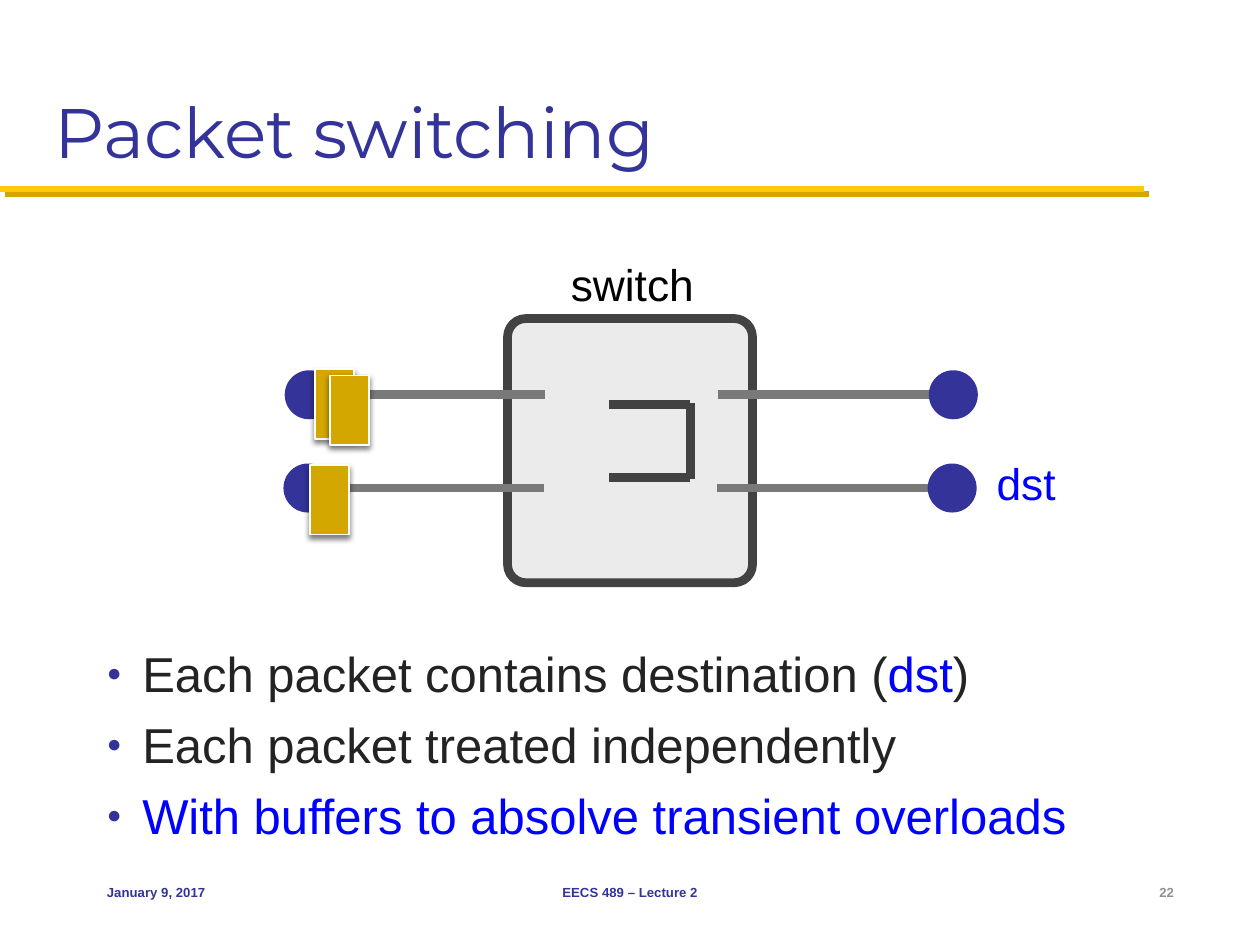
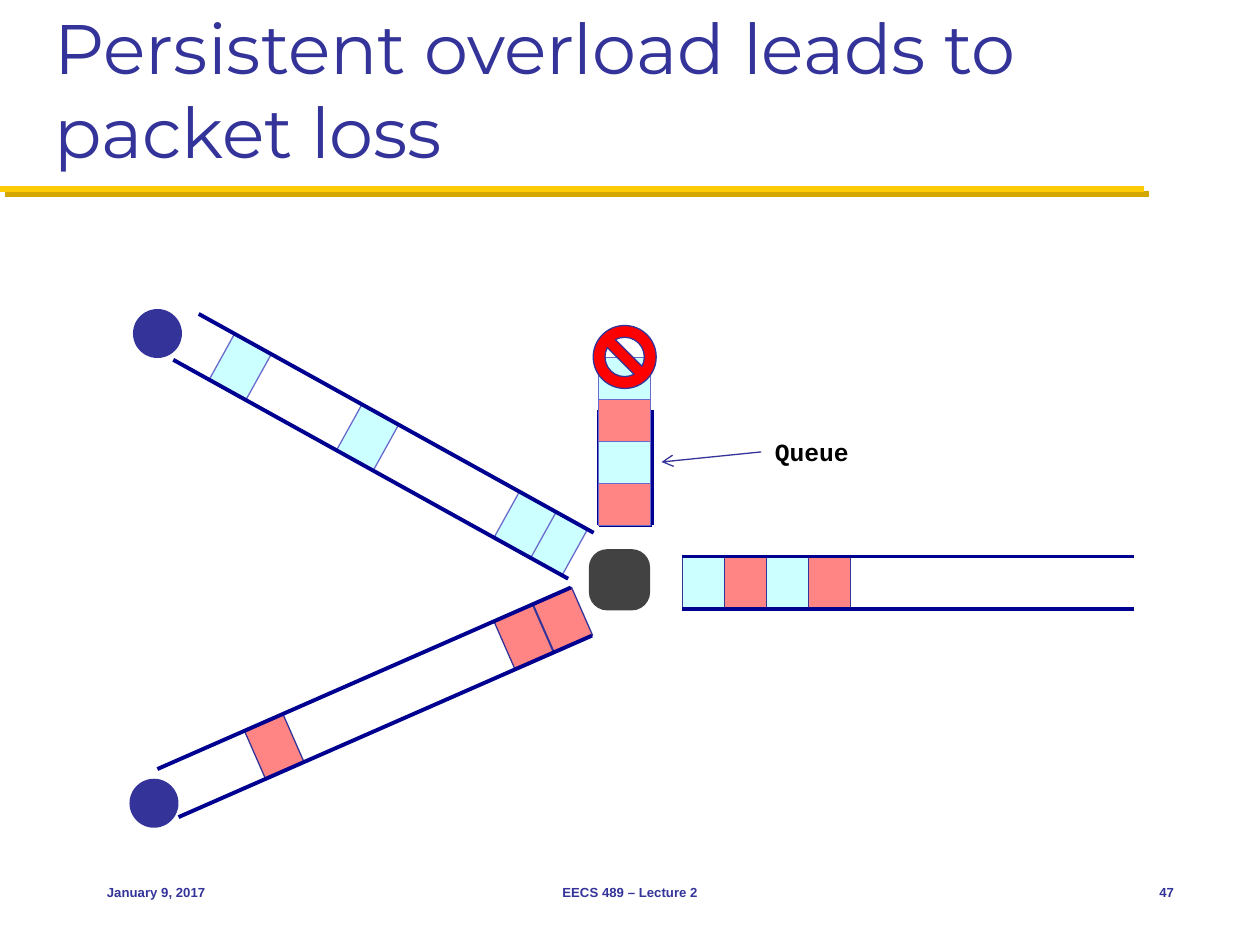
"""Build two lecture slides on packet switching and packet loss."""
from dataclasses import dataclass
from itertools import cycle
from math import cos, radians, sin

from lxml import etree
from pptx import Presentation
from pptx.dml.color import RGBColor
from pptx.enum.shapes import MSO_CONNECTOR, MSO_SHAPE
from pptx.enum.text import MSO_ANCHOR, PP_ALIGN
from pptx.oxml.ns import qn
from pptx.util import Pt

LEFT, CENTER, RIGHT = PP_ALIGN.LEFT, PP_ALIGN.CENTER, PP_ALIGN.RIGHT
TOP, MIDDLE, BOTTOM = MSO_ANCHOR.TOP, MSO_ANCHOR.MIDDLE, MSO_ANCHOR.BOTTOM
RECT, ROUND, OVAL = MSO_SHAPE.RECTANGLE, MSO_SHAPE.ROUNDED_RECTANGLE, MSO_SHAPE.OVAL
NO_SIGN = MSO_SHAPE.NO_SYMBOL
STRAIGHT = MSO_CONNECTOR.STRAIGHT


@dataclass(frozen=True)
class Theme:
    indigo: str = "333399"
    lilac: str = "6A6ACD"
    navy: str = "000090"
    blue: str = "0000FF"
    maize: str = "FFCB05"
    gold: str = "D3A600"
    ink: str = "232323"
    black: str = "000000"
    dark: str = "424242"
    wire: str = "797979"
    muted: str = "919191"
    pale: str = "EBEBEB"
    white: str = "FFFFFF"
    cyan: str = "CCFFFF"
    pink: str = "FF8585"
    red: str = "FF0000"
    head_font: str = "Montserrat"
    body_font: str = "Arial"
    code_font: str = "Courier New"
    title: float = 40
    body: float = 28
    label: float = 25.3
    queue: float = 14.1
    footer: float = 7.5
    thick: float = 5
    edge: float = 2.25
    thin: float = 0.75


T = Theme()
DATE, COURSE = "January 9, 2017", "EECS 489 – Lecture 2"

SWITCHING = {"title": "Packet switching", "number": "22", "number_color": T.muted}
BULLETS = [
    [("Each packet contains destination (", T.ink), ("dst", T.blue), (")", T.ink)],
    [("Each packet treated independently", T.ink)],
    [("With buffers to absolve transient overloads", T.blue)],
]
SWITCH_BOX = (290, 182, 140, 151)
LABELS = [("switch", (323.3, 144, 76.3, 36), T.black), ("dst", (566.6, 257.8, 39.6, 36), T.blue)]
ROWS = [(0, 225.6), (-0.7, 278.9)]
WIRES = [(180, 311.6, 176.7), (410.4, 541.8, 544.8)]
BUFFER = [((394.5, 273.6), (394.5, 230.4)), ((348, 231), (394.5, 231)), ((348, 273), (394.5, 273))]
PACKETS = [(180, 211), (188.6, 214.6), (177.1, 265.7)]

OVERLOAD = {"title": "Persistent overload leads to packet loss", "number": "47", "number_color": T.indigo}
CELL = (24, 30)
CHANNEL_LENGTH = 258
CHANNELS = [
    {"start": (390, 333), "angle": 0, "cells": (12, 36, 60, 84), "fills": (T.cyan, T.pink), "line": T.indigo},
    {"start": (96, 453.2), "angle": -23.7, "cells": (66.3, 246.4, 222), "fills": (T.pink,), "line": T.indigo},
    {"start": (106.3, 192.5), "angle": 29, "cells": (242, 221.5, 118.6, 35.4), "fills": (T.cyan,), "line": T.lilac},
]
HOSTS = [(90, 190.6), (88, 459)]
QUEUE_WALLS = [((342, 234), (342, 300)), ((372.4, 234), (372.4, 300)), ((342, 300), (372.4, 300))]
QUEUED = [T.pink, T.cyan, T.pink, T.cyan]


def rgb(color):
    return RGBColor.from_string(color)


def add_text(s, text, box, *, size, color, font=T.body_font, bold=False, align=LEFT,
             anchor=TOP, inset=(7.2, 3.6), wrap=True, bullet=False):
    sp = s.shapes.add_textbox(*map(Pt, box))
    tf = sp.text_frame
    tf.word_wrap, tf.vertical_anchor = wrap, anchor
    tf.margin_left = tf.margin_right = Pt(inset[0])
    tf.margin_top = tf.margin_bottom = Pt(inset[1])
    paragraphs = [[(text, color)]] if isinstance(text, str) else text
    for i, runs in enumerate(paragraphs):
        p = tf.paragraphs[0] if i == 0 else tf.add_paragraph()
        p.alignment = align
        if i:
            p.space_before = Pt(7)
        if bullet:
            add_bullet(p)
        for words, shade in runs:
            r = p.add_run()
            r.text = words
            r.font.size, r.font.name, r.font.bold = Pt(size), font, bold
            r.font.color.rgb = rgb(shade)
    return sp


def add_bullet(p):
    pPr = p._p.get_or_add_pPr()
    pPr.set("marL", str(Pt(20.25)))
    pPr.set("indent", str(-Pt(20.25)))
    color = etree.SubElement(pPr, qn("a:buClr"))
    etree.SubElement(color, qn("a:srgbClr"), val=T.indigo)
    etree.SubElement(pPr, qn("a:buSzPct"), val="50000")
    etree.SubElement(pPr, qn("a:buFont"), typeface=T.body_font)
    etree.SubElement(pPr, qn("a:buChar"), char="●")


def add_box(s, kind, box, fill, line=None, width=T.thin, rotation=0, adj=None):
    sp = s.shapes.add_shape(kind, *map(Pt, box))
    sp.shadow.inherit = False
    sp.fill.solid()
    sp.fill.fore_color.rgb = rgb(fill)
    sp.rotation = rotation
    if adj is not None:
        sp.adjustments[0] = adj
    if line:
        sp.line.color.rgb = rgb(line)
        sp.line.width = Pt(width)
    else:
        sp.line.fill.background()
    return sp


def add_line(s, start, end, color, width, arrow=False):
    sp = s.shapes.add_connector(STRAIGHT, *map(Pt, (*start, *end)))
    sp.line.color.rgb = rgb(color)
    sp.line.width = Pt(width)
    if arrow:
        etree.SubElement(sp.line._get_or_add_ln(), qn("a:tailEnd"), type="arrow")
    etree.SubElement(sp._element.spPr, qn("a:effectLst"))
    return sp


def add_node(s, x, y, size=28):
    add_box(s, OVAL, (x - size / 2, y - size / 2, size, size), T.indigo)


def add_packet(s, x, y):
    sp = add_box(s, RECT, (x, y, 22.4, 39.8), T.gold, T.white, 1)
    effects = sp._element.spPr.find(qn("a:effectLst"))
    shadow = etree.SubElement(effects, qn("a:outerShdw"), blurRad=str(Pt(3)), dist=str(Pt(2)),
                              dir="5400000", rotWithShape="0")
    color = etree.SubElement(shadow, qn("a:srgbClr"), val=T.black)
    etree.SubElement(color, qn("a:alpha"), val="50000")


def add_channel(s, start, angle, cells, fills, line):
    x, y = start
    dx, dy = cos(radians(angle)), sin(radians(angle))
    w, h = CELL
    for d, fill in zip(cells, cycle(fills)):
        box = (x + d * dx - w / 2, y + d * dy - h / 2, w, h)
        add_box(s, RECT, box, fill, line, rotation=angle)
    for side in (-h / 2, h / 2):
        x1, y1 = x - side * dy, y + side * dx
        add_line(s, (x1, y1), (x1 + CHANNEL_LENGTH * dx, y1 + CHANNEL_LENGTH * dy), T.navy, T.edge)


def add_slide(prs, title, number, number_color):
    s = prs.slides.add_slide(prs.slide_layouts[6])
    for shift, color in ((3, T.gold), (0, T.maize)):
        add_line(s, (shift, 108 + shift), (653.8 + shift, 108 + shift), color, 3.5)
    add_text(s, title, (24, 12, 672, 90), size=T.title, color=T.indigo, font=T.head_font, anchor=BOTTOM)
    for text, x, w, align, color in (
        (DATE, 54, 150, LEFT, T.indigo),
        (COURSE, 246, 228, CENTER, T.indigo),
        (number, 630, 48, RIGHT, number_color),
    ):
        add_text(s, text, (x, 492, w, 36), size=T.footer, color=color, bold=True, align=align, anchor=MIDDLE)
    return s


def build_switching(prs):
    s = add_slide(prs, **SWITCHING)
    add_text(s, BULLETS, (54, 364, 624, 118), size=T.body, color=T.ink, bullet=True)
    add_box(s, ROUND, SWITCH_BOX, T.pale, T.dark, T.thick, adj=0.075)
    for shift, y in ROWS:
        for x1, x2, node in WIRES:
            add_line(s, (x1 + shift, y), (x2 + shift, y), T.wire, T.thick)
            add_node(s, node + shift, y)
    for x, y in PACKETS:
        add_packet(s, x, y)
    for text, box, color in LABELS:
        add_text(s, text, box, size=T.label, color=color, anchor=MIDDLE, inset=(2.9, 2.9), wrap=False)
    for start, end in BUFFER:
        add_line(s, start, end, T.dark, T.thick)


def build_overload(prs):
    s = add_slide(prs, **OVERLOAD)
    for start, end in QUEUE_WALLS:
        add_line(s, start, end, T.navy, T.edge)
    label = add_text(s, "Queue", (435, 246, 57, 24.5), size=T.queue, color=T.black, font=T.code_font,
                     bold=True, align=RIGHT, wrap=False)
    arrow = add_line(s, (435, 258.25), (378, 264), T.indigo, T.thin, arrow=True)
    arrow.begin_connect(label, 1)
    add_box(s, ROUND, (336.5, 313.8, 35, 35), T.dark, adj=0.3)
    for x, y in HOSTS:
        add_node(s, x, y)
    for channel in CHANNELS:
        add_channel(s, **channel)
    w, h = CELL
    for i, fill in enumerate(QUEUED):
        add_box(s, RECT, (342, 300 - w * (i + 1), h, w), fill, T.lilac, 0.5)
    add_box(s, NO_SIGN, (339, 186, 36, 36), T.red, T.indigo)


def main():
    prs = Presentation()
    prs.slide_width, prs.slide_height = Pt(720), Pt(540)
    build_switching(prs)
    build_overload(prs)
    prs.save("out.pptx")


if __name__ == "__main__":
    main()
